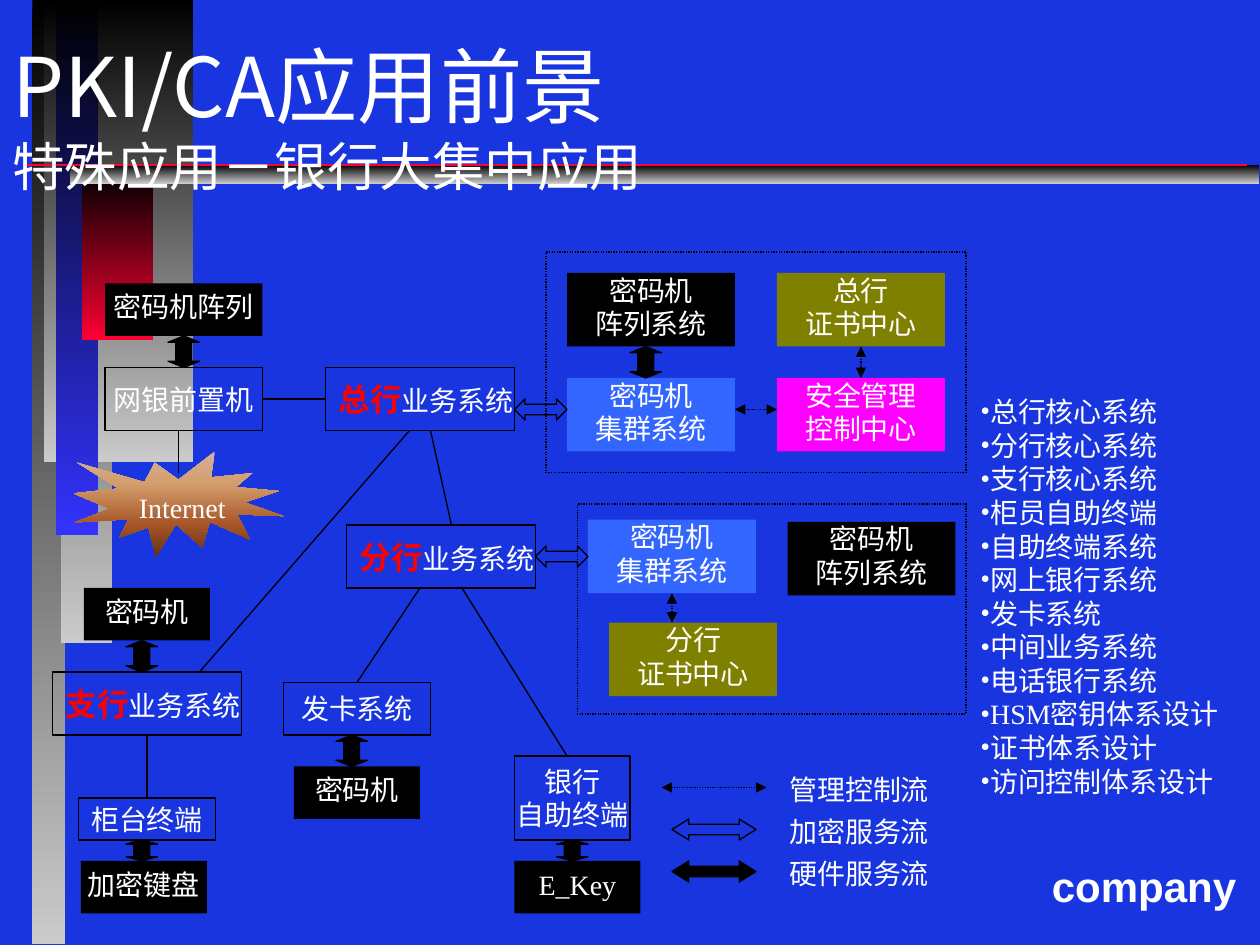
"""Builds a slide on PKI/CA prospects in centralised banking, laid out on a grid of twelfths of an inch."""
from lxml import etree
from pptx import Presentation
from pptx.dml.color import RGBColor
from pptx.enum.dml import MSO_LINE
from pptx.enum.shapes import MSO_CONNECTOR, MSO_SHAPE
from pptx.enum.text import MSO_ANCHOR, PP_ALIGN
from pptx.oxml.ns import qn
from pptx.util import Inches, Pt

RECTANGLE = MSO_SHAPE.RECTANGLE
BURST = MSO_SHAPE.EXPLOSION1
VERTICAL, HORIZONTAL = MSO_SHAPE.UP_DOWN_ARROW, MSO_SHAPE.LEFT_RIGHT_ARROW
STRAIGHT = MSO_CONNECTOR.STRAIGHT
DOTTED = MSO_LINE.ROUND_DOT
CENTER, LEFT = PP_ALIGN.CENTER, PP_ALIGN.LEFT
TOP, MIDDLE, BOTTOM = MSO_ANCHOR.TOP, MSO_ANCHOR.MIDDLE, MSO_ANCHOR.BOTTOM
SIDE_TOP, SIDE_LEFT, SIDE_BOTTOM, SIDE_RIGHT = range(4)

COLORS = {"background": "1835E0", "black": "000000", "white": "FFFFFF", "grey": "CBCBCB",
          "indigo": "3333FF", "crimson": "FF0033", "red": "FF0000", "blue": "3366FF",
          "magenta": "FF00FF", "olive": "808000", "sand": "D6B19C", "tan": "D49E6C",
          "rust": "A65528", "brown": "663012"}
SERIF, SANS, CJK = "Times New Roman", "Arial", "Noto Sans CJK SC"
UNIT = 1 / 12

BANDS = [(3.1, 0, 3.1, 89.9, "grey"), (5.8, 0, 4.9, 61.2, "grey"), (4.2, 0, 14.2, 44, "grey"),
         (5.3, 0, 4, 51, "indigo"), (7.8, 16.4, 6.8, 16, "crimson"), (6.7, 15.7, 113.2, 1.8, "grey")]
BURST_STOPS = [(0, "sand"), (30, "tan"), (70, "rust"), (100, "brown")]
TITLE = [("PKI/CA应用前景", 47, CJK), ("特殊应用－银行大集中应用", 30, SANS)]

NODES = {
    "front end": (10, 35, 15, 6, None, ["网银前置机"]),
    "head office": (31, 35, 18, 6, None, ["总行", "业务系统"]),
    "head cluster": (54, 36, 16, 7, "blue", ["密码机", "集群系统"]),
    "head array": (54, 26, 16, 7, "black", ["密码机", "阵列系统"]),
    "security centre": (74, 36, 16, 7, "magenta", ["安全管理", "控制中心"]),
    "head certificates": (74, 26, 16, 7, "olive", ["总行", "证书中心"]),
    "front array": (10, 27, 15, 5, "black", ["密码机阵列"]),
    "branch cluster": (56, 49.5, 16, 7, "blue", ["密码机", "集群系统"]),
    "branch array": (75, 49.7, 16, 7, "black", ["密码机", "阵列系统"]),
    "branch certificates": (58, 59.3, 16, 7, "olive", ["分行", "证书中心"]),
    "branch": (33, 50, 18, 6, None, ["分行", "业务系统"]),
    "sub-branch": (5, 64, 18, 6, None, ["支行", "业务系统"]),
    "card system": (27, 65, 14, 5, None, ["发卡系统"]),
    "card encryptor": (28, 73, 12, 5, "black", ["密码机"]),
    "self service": (49, 72, 11, 8, None, ["银行", "自助终端"]),
    "key": (49, 82, 12, 5, "black", ["E_Key"]),
    "sub-branch encryptor": (8, 56, 12, 5, "black", ["密码机"]),
    "counter": (7.5, 76, 13, 4, None, ["柜台终端"]),
    "keyboard": (7.7, 82, 12, 5, "black", ["加密键盘"]),
}
OFFICES = {"head office", "branch", "sub-branch"}
FRAMES = [(52, 24, 40, 21), (55, 48, 37, 20)]
LINKS = [
    ((25, 38), (31, 38), ("front end", SIDE_RIGHT), ("head office", SIDE_LEFT)),
    ((17, 41), (17, 45), None, None),
    ((39, 41), (19, 64), None, None),
    ((41, 41), (43, 50), None, None),
    ((14, 70), (14, 76), ("sub-branch", SIDE_BOTTOM), ("counter", SIDE_TOP)),
    ((44, 56), (54, 72), None, None),
    ((40, 56), (34, 65), None, ("card system", SIDE_TOP)),
]
CONTROL_FLOWS = [
    ((70, 39), (74, 39), None, None),
    ((82, 33), (82, 36), ("head certificates", SIDE_BOTTOM), ("security centre", SIDE_TOP)),
    ((64, 56.3), (64, 59.3), ("branch cluster", SIDE_BOTTOM), None),
    ((63, 75), (73, 75), None, None),
]
HARDWARE_FLOWS = [(16, 32, 3), (60, 33, 3), (12, 61, 3), (32, 70, 3), (53, 80, 2), (12, 80, 2)]
SERVICE_FLOWS = [(49, 38, 5, 50, None), (51, 52, 5, 50, None),
                 (64, 78, 8, 80, None), (64, 82, 8, 80, "black")]
LEGEND = ["管理控制流", "加密服务流", "硬件服务流"]
SYSTEMS = ["总行核心系统", "分行核心系统", "支行核心系统", "柜员自助终端", "自助终端系统",
           "网上银行系统", "发卡系统", "中间业务系统", "电话银行系统", "HSM密钥体系设计",
           "证书体系设计", "访问控制体系设计"]


def grid(*values):
    return [Inches(value * UNIT) for value in values]


def rgb(name):
    return RGBColor.from_string(COLORS[name])


def add_run(paragraph, text, size=16, font=SERIF, color="white", bold=False):
    run = paragraph.add_run()
    run.text = text
    run.font.size, run.font.name, run.font.bold = Pt(size), font, bold
    run.font.color.rgb = rgb(color)


def style_line(line, dotted=False, color="black", width=0.75):
    line.color.rgb = rgb(color)
    line.width = Pt(width)
    if dotted:
        line.dash_style = DOTTED


def add_shape(kind, box, fill=None, outlined=True, dotted=False):
    shape = slide.shapes.add_shape(kind, *grid(*box))
    shape.shadow.inherit = False
    if fill:
        shape.fill.solid()
        shape.fill.fore_color.rgb = rgb(fill)
    else:
        shape.fill.background()
    if outlined:
        style_line(shape.line, dotted)
    else:
        shape.line.fill.background()
    return shape


def add_gradient(kind, box, stops):
    shape = add_shape(kind, box, outlined=False)
    shape.fill.gradient()
    shape.fill.gradient_angle = 270
    stop_list = next(shape.element.spPr.iter(qn("a:gsLst")))
    for stop in list(stop_list):
        stop_list.remove(stop)
    for percent, color in stops:
        stop = etree.SubElement(stop_list, qn("a:gs"), pos=str(percent * 1000))
        etree.SubElement(stop, qn("a:srgbClr"), val=COLORS[color])
    return shape


def add_arrow(kind, box, head, fill):
    shape = add_shape(kind, box, fill)
    guides = next(shape.element.spPr.iter(qn("a:avLst")))
    for guide in list(guides):
        guides.remove(guide)
    for name, percent in (("adj1", 50), ("adj2", head)):
        etree.SubElement(guides, qn("a:gd"), name=name, fmla=f"val {percent * 1000}")


def label(shape, lines, left=0, top=0, bottom=0):
    frame = shape.text_frame
    frame.word_wrap = False
    frame.vertical_anchor = MIDDLE
    frame.margin_left, frame.margin_right = Inches(left), 0
    frame.margin_top, frame.margin_bottom = Inches(top), Inches(bottom)
    for index, runs in enumerate(lines):
        paragraph = frame.add_paragraph() if index else frame.paragraphs[0]
        paragraph.alignment = CENTER
        for run in runs:
            add_run(paragraph, **run)


def add_text_box(box, anchor=TOP, wrap=True):
    frame = slide.shapes.add_textbox(*grid(*box)).text_frame
    frame.word_wrap = wrap
    frame.vertical_anchor = anchor
    return frame


def add_line(start, end, source=None, target=None, flow=False, color="black", width=0.75):
    connector = slide.shapes.add_connector(STRAIGHT, *grid(*start, *end))
    if source:
        connector.begin_connect(nodes[source[0]], source[1])
    if target:
        connector.end_connect(nodes[target[0]], target[1])
    style_line(connector.line, flow, color, width)
    if flow:
        for tag in ("a:headEnd", "a:tailEnd"):
            etree.SubElement(connector.line._get_or_add_ln(), qn(tag), type="triangle")
    etree.SubElement(connector._element.spPr, qn("a:effectLst"))


presentation = Presentation()
presentation.slide_width, presentation.slide_height = Inches(10), Inches(7.5)
slide = presentation.slides.add_slide(presentation.slide_layouts[6])
slide.background.fill.solid()
slide.background.fill.fore_color.rgb = rgb("background")

for *box, color in BANDS:
    add_gradient(RECTANGLE, box, [(0, "black"), (100, color)])
add_line((2.2, 15.7), (118.8, 15.7), color="crimson", width=1)
add_run(add_text_box((99, 81.4, 20.5, 6), wrap=False).paragraphs[0], "company", 24, SANS, bold=True)

title = add_text_box((0, 0, 120, 19.4), BOTTOM).paragraphs[0]
for index, (text, size, font) in enumerate(TITLE):
    if index:
        title.add_line_break()
    add_run(title, text, size, font)

burst = add_gradient(BURST, (7, 43, 20, 10), BURST_STOPS)
label(burst, [[{"text": "Internet"}]], left=0.08, top=0.1)
nodes = {}
for name, (*box, fill, words) in NODES.items():
    nodes[name] = add_shape(RECTANGLE, box, fill, outlined=fill is None)
    if name in OFFICES:
        office, system = words
        label(nodes[name], [[{"text": office, "size": 18, "color": "red", "bold": True},
                             {"text": system}]], left=0.1)
    else:
        label(nodes[name], [[{"text": word}] for word in words], bottom=0.05 if fill else 0)

for link in LINKS:
    add_line(*link)
for flow in CONTROL_FLOWS:
    add_line(*flow, flow=True)
for left, top, height in HARDWARE_FLOWS:
    add_arrow(VERTICAL, (left, top, 3, height), 20, "black")
for left, top, width, head, fill in SERVICE_FLOWS:
    add_arrow(HORIZONTAL, (left, top, width, 2), head, fill)
for box in FRAMES:
    add_shape(RECTANGLE, box, dotted=True)

for row, text in enumerate(LEGEND):
    add_run(add_text_box((74, 73 + 4 * row, 18, 4)).paragraphs[0], text)
systems = add_text_box((92.2, 37, 27.8, 42.8))
for index, text in enumerate(SYSTEMS):
    paragraph = systems.add_paragraph() if index else systems.paragraphs[0]
    paragraph.alignment = LEFT
    properties = paragraph._p.get_or_add_pPr()
    etree.SubElement(properties, qn("a:buFont"), typeface=SERIF)
    etree.SubElement(properties, qn("a:buChar"), char="•")
    add_run(paragraph, text)

presentation.save("out.pptx")
